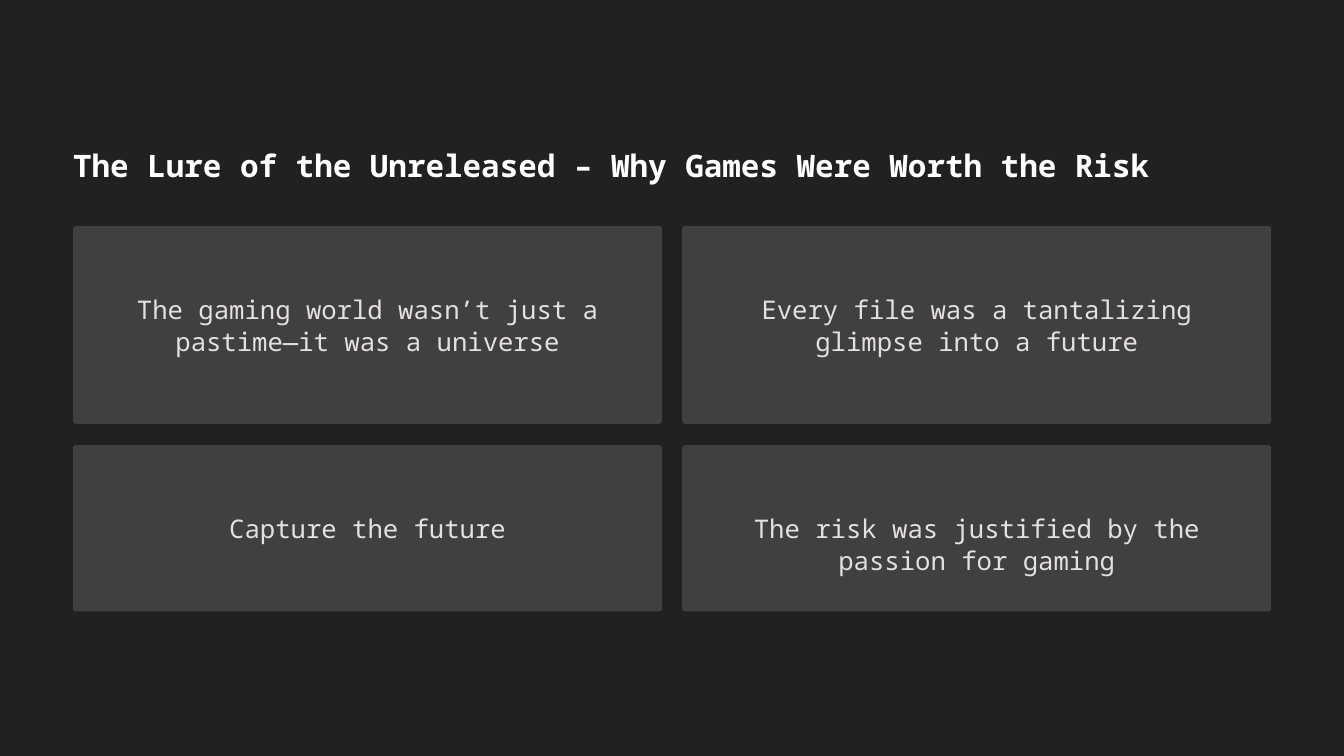
from pptx import Presentation
from pptx.dml.color import RGBColor
from pptx.enum.shapes import MSO_SHAPE as Shape
from pptx.enum.text import MSO_ANCHOR as Anchor, MSO_AUTO_SIZE as AutoSize, PP_ALIGN as Align
from pptx.util import Cm, Pt

FONT = "Noto Sans Mono"
LEFT, COLUMN_STEP, CARD_WIDTH = 2.21, 18.42, 17.81
PADDING_X, PADDING_Y, LINE_HEIGHT = 0.64, 2.01, 0.99
CORNER = 0.1
TITLE = "The Lure of the Unreleased – Why Games Were Worth the Risk"
CARD_ROWS = [
    (6.83, 5.99, [("The gaming world wasn’t just a pastime—it was a universe", 2),
                  ("Every file was a tantalizing glimpse into a future", 2)]),
    (13.46, 5.03, [("Capture the future", 1),
                   ("The risk was justified by the passion for gaming", 2)]),
]


def paint(fill, color):
    """Make a fill solid in a hex colour."""
    fill.solid()
    fill.fore_color.rgb = RGBColor.from_string(color)


def write(box, text, size, leading, color, align, bold=False):
    """Write one line-spaced paragraph into a box without margins."""
    frame = box.text_frame
    frame.word_wrap = True
    frame.auto_size = AutoSize.NONE
    frame.vertical_anchor = Anchor.TOP
    frame.margin_left = frame.margin_right = frame.margin_top = frame.margin_bottom = 0
    para = frame.paragraphs[0]
    para.alignment = align
    para.line_spacing = Pt(leading)
    para.space_before = Pt(0)
    span = para.add_run()
    span.text = text
    span.font.name = FONT
    span.font.size = Pt(size)
    span.font.bold = bold
    paint(span.font.fill, color)


def place_title(page):
    """Move and format the title placeholder."""
    title = page.shapes.title
    title.left, title.top = Cm(LEFT), Cm(4.39)
    title.width, title.height = Cm(32.89), Cm(1.19)
    write(title, TITLE, 26.5, 33, "FFFFFF", Align.LEFT, bold=True)


def add_card(page, left, top, height, text, lines):
    """Add a rounded card with centred text on it."""
    card = page.shapes.add_shape(
        Shape.ROUNDED_RECTANGLE, Cm(left), Cm(top), Cm(CARD_WIDTH), Cm(height))
    card.adjustments[0] = CORNER / height
    card.shadow.inherit = False
    card.line.fill.background()
    paint(card.fill, "404040")
    box = page.shapes.add_textbox(
        Cm(left + PADDING_X), Cm(top + PADDING_Y),
        Cm(CARD_WIDTH - 2 * PADDING_X), Cm(lines * LINE_HEIGHT))
    write(box, text, 22, 27.5, "E5E0DF", Align.CENTER)


def main():
    """Build the slide and save it."""
    deck = Presentation()
    deck.slide_width, deck.slide_height = Cm(40.64), Cm(22.86)
    page = deck.slides.add_slide(deck.slide_layouts.get_by_name("Title Only"))
    paint(page.background.fill, "212121")
    place_title(page)
    for top, height, cards in CARD_ROWS:
        for column, (text, lines) in enumerate(cards):
            add_card(page, LEFT + column * COLUMN_STEP, top, height, text, lines)
    deck.save("out.pptx")


if __name__ == "__main__":
    main()
